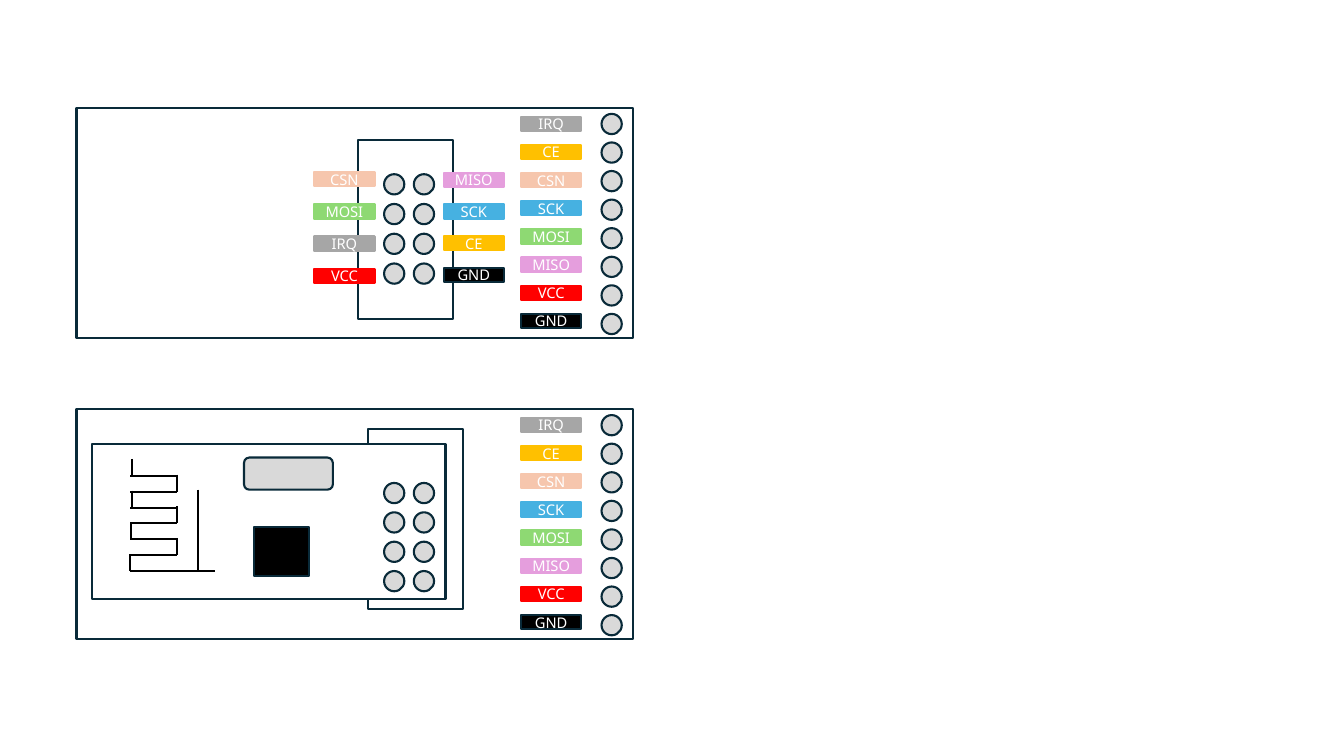
import pptx
import pptx.dml.color
import pptx.enum.shapes
import pptx.enum.text
import pptx.oxml
import pptx.util

Cm = pptx.util.Cm
KIND = pptx.enum.shapes.MSO_SHAPE

FONT = "Noto Sans"
OUTLINE = "092A39"
METAL = "D9D9D9"
WHITE = "FFFFFF"
BLACK = "000000"
SIGNAL_COLOURS = {
    "IRQ": "A6A6A6",
    "CE": "FFC000",
    "CSN": "F6C6AD",
    "SCK": "46B1E1",
    "MOSI": "8ED973",
    "MISO": "E59EDD",
    "VCC": "FF0000",
    "GND": BLACK,
}
SOCKET_LEFT = ["CSN", "MOSI", "IRQ", "VCC"]
SOCKET_RIGHT = ["MISO", "SCK", "CE", "GND"]

BOARD_LEFT, BOARD_WIDTH, BOARD_HEIGHT = 1.93, 14.02, 5.79
SOCKET_WIDTH, SOCKET_HEIGHT = 2.39, 4.52
PIN_SIZE = 0.51
LABEL_WIDTH, LABEL_HEIGHT = 1.52, 0.36
ANTENNA_LEFT, ANTENNA_RIGHT = 3.28, 4.47
ANTENNA_TOP, ANTENNA_PITCH, ANTENNA_TURNS = 11.99, 0.4, 6
ANTENNA_LEFT_EDGES = [3.33, 3.33, 3.3, 3.28]
ANTENNA_FEED = 5.0


def colour(hex_text):
    return pptx.dml.color.RGBColor.from_string(hex_text)


def add_part(shapes, kind, left, top, width, height, fill=WHITE, line=OUTLINE):
    shape = shapes.add_shape(kind, Cm(left), Cm(top), Cm(width), Cm(height))
    shape.shadow.inherit = False
    shape.fill.solid()
    shape.fill.fore_color.rgb = colour(fill)
    shape.line.color.rgb = colour(line)
    shape.line.width = pptx.util.Pt(1.5)
    return shape


def add_label(shapes, name, left, top):
    fill = SIGNAL_COLOURS[name]
    line = OUTLINE if fill == BLACK else fill
    shape = add_part(shapes, KIND.RECTANGLE, left, top, LABEL_WIDTH, LABEL_HEIGHT, fill, line)
    frame = shape.text_frame
    frame.margin_left = frame.margin_right = frame.margin_top = frame.margin_bottom = 0
    frame.word_wrap = False
    frame.vertical_anchor = pptx.enum.text.MSO_ANCHOR.MIDDLE
    paragraph = frame.paragraphs[0]
    paragraph.text = name
    paragraph.alignment = pptx.enum.text.PP_ALIGN.CENTER
    paragraph.font.name = FONT
    paragraph.font.size = pptx.util.Pt(10.5)
    paragraph.font.color.rgb = colour(WHITE)


def add_labels(shapes, names, left, top, pitch):
    for row, name in enumerate(names):
        add_label(shapes, name, left, top + row * pitch)


def add_pins(shapes, left, top, columns, rows, pitch):
    for row in range(rows):
        for column in range(columns):
            add_part(shapes, KIND.OVAL, left + column * 0.75, top + row * pitch,
                     PIN_SIZE, PIN_SIZE, METAL)


def add_line(shapes, x1, y1, x2, y2):
    connector = shapes.add_connector(pptx.enum.shapes.MSO_CONNECTOR.STRAIGHT,
                                     Cm(x1), Cm(y1), Cm(x2), Cm(y2))
    connector.line.color.rgb = colour(BLACK)
    connector.line.width = pptx.util.Pt(1.5)
    properties = connector.element.spPr
    properties.append(properties.makeelement(pptx.oxml.ns.qn("a:effectLst"), {}))


def add_board(shapes, top, socket_left, socket_top):
    add_part(shapes, KIND.RECTANGLE, BOARD_LEFT, top, BOARD_WIDTH, BOARD_HEIGHT)
    add_part(shapes, KIND.RECTANGLE, socket_left, socket_top, SOCKET_WIDTH, SOCKET_HEIGHT)
    add_labels(shapes, SIGNAL_COLOURS, 13.13, top + 0.22, 0.71)
    add_pins(shapes, 15.16, top + 0.15, 1, len(SIGNAL_COLOURS), 0.72)


def add_antenna(shapes):
    for turn in range(ANTENNA_TURNS + 1):
        y = ANTENNA_TOP + turn * ANTENNA_PITCH
        right = 5.41 if turn == ANTENNA_TURNS else ANTENNA_RIGHT
        x = ANTENNA_RIGHT if turn % 2 else ANTENNA_LEFT_EDGES[turn // 2]
        add_line(shapes, ANTENNA_LEFT, y, right, y)
        add_line(shapes, x, y - 0.43, x, y)
    add_line(shapes, ANTENNA_FEED, 12.34, ANTENNA_FEED, y)


def add_radio_module(shapes):
    add_part(shapes, KIND.RECTANGLE, 2.31, 11.2, 8.92, 3.89)
    add_part(shapes, KIND.ROUNDED_RECTANGLE, 6.15, 11.53, 2.24, 0.81, METAL)
    add_part(shapes, KIND.RECTANGLE, 6.4, 13.28, 1.4, 1.24, BLACK)
    add_antenna(shapes)
    add_pins(shapes, 9.68, 12.17, 2, 4, 0.74)


def main():
    presentation = pptx.Presentation()
    presentation.slide_width = Cm(33.87)
    presentation.slide_height = Cm(19.05)
    slide = presentation.slides.add_slide(presentation.slide_layouts[6])

    add_board(slide.shapes, 10.31, 9.27, 10.82)
    add_radio_module(slide.shapes.add_group_shape().shapes)

    add_board(slide.shapes, 2.72, 9.02, 3.53)
    add_pins(slide.shapes, 9.68, 4.39, 2, 4, 0.75)
    add_labels(slide.shapes, SOCKET_RIGHT, 11.18, 4.35, 0.8)
    add_labels(slide.shapes, SOCKET_LEFT, 7.92, 4.34, 0.81)

    presentation.save("out.pptx")


if __name__ == "__main__":
    main()
